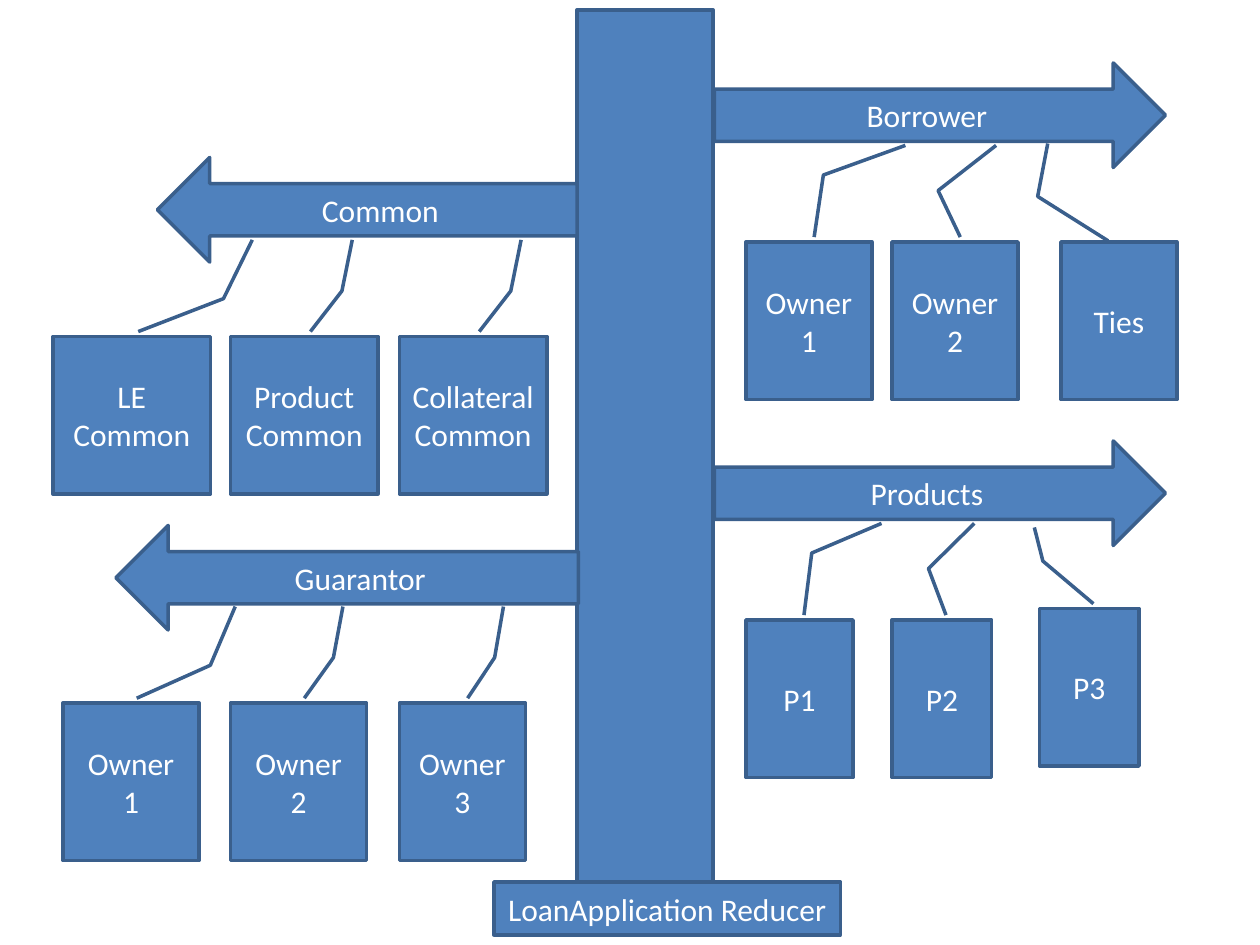
from typing import NamedTuple

from pptx import Presentation
from pptx import util as u
from pptx.dml.color import RGBColor
from pptx.enum import shapes, text

BLUE = RGBColor(0x4F, 0x81, 0xBD)
OUTLINE = RGBColor(0x3A, 0x5F, 0x8C)
WHITE = RGBColor(0xFF, 0xFF, 0xFF)

KIND = shapes.MSO_SHAPE
ARROW_HEIGHT = 0.83
CHILD_HEIGHT = 1.25

# Callout leader lines: y, x of each of three points, as fractions of the box
LEFT_FIRST = (-0.613, 1.266, -0.24, 1.083, -0.031, 0.542)
LEFT_NEXT = (-0.613, 0.826, -0.289, 0.756, -0.031, 0.542)
RIGHT_FIRST = (-0.613, 1.266, -0.425, 0.615, -0.031, 0.542)
RIGHT_SECOND = (-0.613, 0.826, -0.326, 0.366, -0.031, 0.542)
TIES_LEADER = (-0.625, -0.114, -0.289, -0.201, -0.007, 0.407)
P3_LEADER = (-0.515, -0.052, -0.302, 0.034, -0.031, 0.542)


class Child(NamedTuple):
    label: str
    left: float
    width: float
    leader: tuple[float, ...]
    raised: float = 0


class Branch(NamedTuple):
    label: str
    arrow: KIND
    left: float
    top: float
    width: float
    children_top: float
    children: list[Child]


BRANCHES = [
    Branch("Borrower", KIND.RIGHT_ARROW, 5.67, 0.5, 3.58, 1.92, [
        Child("Owner1", 5.92, 1, RIGHT_FIRST),
        Child("Owner2", 7.08, 1, RIGHT_SECOND),
        Child("Ties", 8.42, 0.92, TIES_LEADER),
    ]),
    Branch("Common", KIND.LEFT_ARROW, 1.25, 1.25, 3.33, 2.67, [
        Child("LE Common", 0.42, 1.25, LEFT_FIRST),
        Child("Product\nCommon", 1.83, 1.17, LEFT_NEXT),
        Child("Collateral Common", 3.17, 1.17, LEFT_NEXT),
    ]),
    Branch("Guarantor", KIND.LEFT_ARROW, 0.92, 4.17, 3.67, 5.58, [
        Child("Owner\n1", 0.5, 1.08, LEFT_FIRST),
        Child("Owner\n2", 1.83, 1.08, LEFT_NEXT),
        Child("Owner3", 3.17, 1, LEFT_NEXT),
    ]),
    Branch("Products", KIND.RIGHT_ARROW, 5.67, 3.5, 3.58, 4.92, [
        Child("P1", 5.92, 0.85, RIGHT_FIRST),
        Child("P2", 7.08, 0.79, RIGHT_SECOND),
        Child("P3", 8.25, 0.79, P3_LEADER, raised=0.09),
    ]),
]


def add_block(slide, kind: KIND, left: float, top: float, width: float,
              height: float, label: str = ""):
    """Add a blue outlined shape with a centred white label."""
    block = slide.shapes.add_shape(
        kind, u.Inches(left), u.Inches(top), u.Inches(width), u.Inches(height))
    block.shadow.inherit = False
    block.fill.solid()
    block.fill.fore_color.rgb = BLUE
    block.line.color.rgb = OUTLINE
    block.line.width = u.Pt(2)
    if label:
        frame = block.text_frame
        frame.text = label
        frame.word_wrap = True
        frame.vertical_anchor = text.MSO_ANCHOR.MIDDLE
        for para in frame.paragraphs:
            para.alignment = text.PP_ALIGN.CENTER
            for span in para.runs:
                span.font.name = "Calibri"
                span.font.size = u.Pt(18)
                span.font.color.rgb = WHITE
    return block


def add_branch(slide, branch: Branch) -> None:
    add_block(slide, branch.arrow, branch.left, branch.top, branch.width,
              ARROW_HEIGHT, branch.label)
    for child in branch.children:
        callout = add_block(slide, KIND.LINE_CALLOUT_2, child.left,
                            branch.children_top - child.raised, child.width,
                            CHILD_HEIGHT, child.label)
        for index, value in enumerate(child.leader):
            callout.adjustments[index] = value


def main() -> None:
    deck = Presentation()
    deck.slide_width, deck.slide_height = u.Inches(10), u.Inches(7.5)
    slide = deck.slides.add_slide(deck.slide_layouts[6])
    add_block(slide, KIND.RECTANGLE, 4.58, 0.08, 1.08, 6.92)
    for branch in BRANCHES:
        add_branch(slide, branch)
    add_block(slide, KIND.RECTANGLE, 3.92, 7, 2.75, 0.42,
              "LoanApplication Reducer")
    deck.save("out.pptx")


if __name__ == "__main__":
    main()
